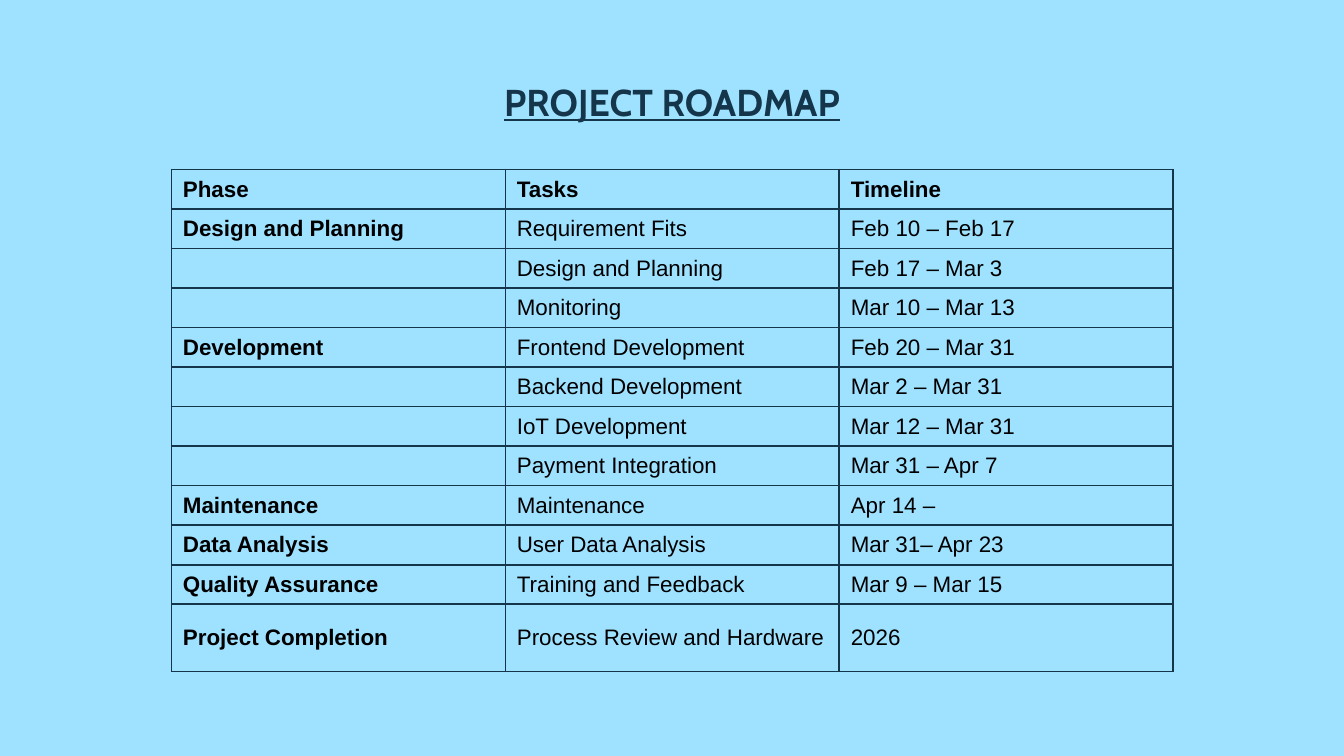
from lxml.etree import SubElement
from pptx import Presentation
from pptx.dml.color import RGBColor as Rgb
from pptx.enum.text import MSO_ANCHOR as Anchor, PP_ALIGN as Align
from pptx.oxml.ns import qn
from pptx.util import Pt

COLORS = {"sky": "9FE2FF", "navy": "15354B", "black": "000000"}

ROADMAP = [
    ("Phase", "Tasks", "Timeline"),
    ("Design and Planning", "Requirement Fits", "Feb 10 – Feb 17"),
    ("", "Design and Planning", "Feb 17 – Mar 3"),
    ("", "Monitoring", "Mar 10 – Mar 13"),
    ("Development", "Frontend Development", "Feb 20 – Mar 31"),
    ("", "Backend Development", "Mar 2 – Mar 31"),
    ("", "IoT Development", "Mar 12 – Mar 31"),
    ("", "Payment Integration", "Mar 31 – Apr 7"),
    ("Maintenance", "Maintenance", "Apr 14 –"),
    ("Data Analysis", "User Data Analysis", "Mar 31– Apr 23"),
    ("Quality Assurance", "Training and Feedback", "Mar 9 – Mar 15"),
    ("Project Completion", "Process Review and Hardware", "2026"),
]


class RoadmapSlide:
    title_font, title_size = "Cabin", 20
    body_font, body_size = "Arial", 12
    row_height, last_row_height, column_width = 21.2, 36, 178.9

    def __init__(self, deck):
        self.slide = deck.slides.add_slide(deck.slide_layouts[6])
        background = self.slide.background.fill
        background.solid()
        background.fore_color.rgb = Rgb.from_string(COLORS["sky"])

    def run(self, paragraph, text, font, size, color, bold=False, underline=False):
        run = paragraph.add_run()
        run.text = text
        run.font.name, run.font.size = font, Pt(size)
        run.font.bold, run.font.underline = bold, underline
        run.font.color.rgb = Rgb.from_string(COLORS[color])

    def title(self, text, left, top, width, height):
        box = self.slide.shapes.add_textbox(Pt(left), Pt(top), Pt(width), Pt(height))
        frame = box.text_frame
        frame.word_wrap = True
        frame.vertical_anchor = Anchor.TOP
        frame.margin_left = frame.margin_right = Pt(7.2)
        frame.margin_top = frame.margin_bottom = Pt(7.2)
        heading = frame.paragraphs[0]
        heading.alignment = Align.CENTER
        self.run(heading, text, self.title_font, self.title_size, "navy", True, True)

    def borders(self, cell):
        properties = cell._tc.get_or_add_tcPr()
        for position, side in enumerate(("lnL", "lnR", "lnT", "lnB")):
            line = SubElement(properties, qn(f"a:{side}"), w=str(Pt(1)))
            fill = SubElement(line, qn("a:solidFill"))
            SubElement(fill, qn("a:srgbClr"), val=COLORS["navy"])
            properties.insert(position, line)  # borders come before the fill

    def cell(self, cell, text, bold):
        cell.fill.background()
        cell.vertical_anchor = Anchor.MIDDLE
        cell.margin_left = cell.margin_right = Pt(6.2)
        cell.margin_top = cell.margin_bottom = Pt(3.1)
        self.borders(cell)
        entry = cell.text_frame.paragraphs[0]
        if text:
            self.run(entry, text, self.body_font, self.body_size, "black", bold)
        else:  # keeps an empty cell from stretching its row
            SubElement(entry._p, qn("a:endParaRPr"), sz=str(self.body_size * 100))

    def table(self, rows, left, top):
        count, columns = len(rows), len(rows[0])
        heights = [self.row_height] * (count - 1) + [self.last_row_height]
        table = self.slide.shapes.add_table(
            count, columns, Pt(left), Pt(top),
            Pt(self.column_width * columns), Pt(sum(heights))).table
        table.horz_banding = table.first_row = False
        for column in table.columns:
            column.width = Pt(self.column_width)
        for r, (entries, height) in enumerate(zip(rows, heights)):
            table.rows[r].height = Pt(height)
            for c, text in enumerate(entries):
                self.cell(table.cell(r, c), text, bold=r == 0 or c == 0)


def main():
    deck = Presentation()
    deck.slide_width, deck.slide_height = Pt(720), Pt(405)
    roadmap = RoadmapSlide(deck)

    # Heading
    roadmap.title("PROJECT ROADMAP", 56.7, 35.3, 606.6, 45.4)

    # Phases, tasks and dates
    roadmap.table(ROADMAP, 91.8, 90.8)

    deck.save("out.pptx")


if __name__ == "__main__":
    main()
